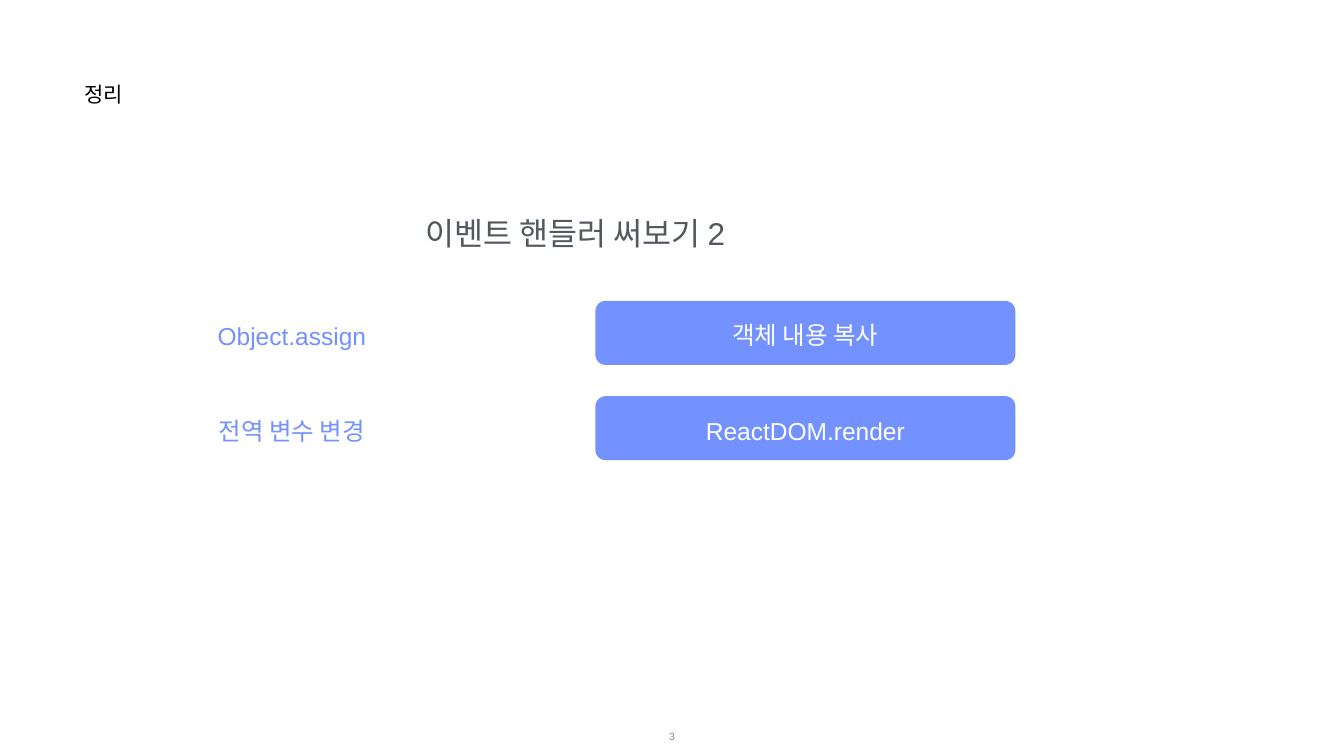
from dataclasses import dataclass

from pptx import Presentation
from pptx.dml.color import RGBColor
from pptx.enum.shapes import MSO_SHAPE as Shape
from pptx.enum.text import MSO_ANCHOR as Anchor, PP_ALIGN as Align
from pptx.util import Inches, Pt

BLACK = RGBColor(0x00, 0x00, 0x00)
WHITE = RGBColor(0xFF, 0xFF, 0xFF)
BLUE = RGBColor(0x73, 0x91, 0xFF)
SLATE = RGBColor(0x53, 0x58, 0x5F)
GRAY = RGBColor(0x88, 0x88, 0x88)

WIDE, HIGH = 26.66, 15
FONT = "Arial"
TOP, STEP = 39.8, 12.6
PAD, DROP = 0.01, 0.1


@dataclass(frozen=True)
class Box:
    """Hold a place in percent of the slide's width and height."""

    left: float
    top: float
    width: float
    height: float

    def place(self) -> tuple:
        return (
            Inches(WIDE * self.left / 100),
            Inches(HIGH * self.top / 100),
            Inches(WIDE * self.width / 100),
            Inches(HIGH * self.height / 100),
        )


@dataclass(frozen=True)
class Style:
    """Describe how a line of text looks."""

    size: int
    color: RGBColor
    align: Align = Align.CENTER
    anchor: Anchor = Anchor.MIDDLE


@dataclass(frozen=True)
class Pair:
    """Match a term with its meaning."""

    term: str
    sense: str


PAIRS = [
    Pair("Object.assign", "객체 내용 복사"),
    Pair("전역 변수 변경", "ReactDOM.render"),
]


def write(shape, text: str, style: Style, drop: float = PAD) -> None:
    """Put styled text in a shape."""
    frame = shape.text_frame
    frame.text = text
    frame.word_wrap = True
    frame.vertical_anchor = style.anchor
    frame.margin_left = frame.margin_right = frame.margin_bottom = Inches(PAD)
    frame.margin_top = Inches(drop)
    line = frame.paragraphs[0]
    line.alignment = style.align
    font = line.runs[0].font
    font.name, font.size = FONT, Pt(style.size)
    font.color.rgb = style.color


def label(slide, box: Box, text: str, style: Style) -> None:
    """Add a text box."""
    write(slide.shapes.add_textbox(*box.place()), text, style)


def pill(slide, box: Box, text: str, style: Style) -> None:
    """Add a filled rounded box with text."""
    shape = slide.shapes.add_shape(Shape.ROUNDED_RECTANGLE, *box.place())
    shape.adjustments[0] = 0.16
    shape.shadow.inherit = False
    shape.fill.solid()
    shape.fill.fore_color.rgb = BLUE
    shape.line.fill.background()
    write(shape, text, style, DROP)


def main() -> None:
    """Build the summary slide."""
    deck = Presentation()
    deck.slide_width, deck.slide_height = Inches(WIDE), Inches(HIGH)
    slide = deck.slides.add_slide(deck.slide_layouts[6])

    label(slide, Box(6.26, 10.67, 18.23, 7.87), "정리",
          Style(30, BLACK, Align.LEFT, Anchor.TOP))
    label(slide, Box(9.9, 28.27, 65.8, 5.27), "이벤트 핸들러 써보기 2",
          Style(45, SLATE, anchor=Anchor.TOP))
    for row, pair in enumerate(PAIRS):
        top = TOP + row * STEP
        label(slide, Box(10, top + 2.5, 23.44, 4.13), pair.term, Style(35, BLUE))
        pill(slide, Box(44.3, top, 31.25, 8.47), pair.sense, Style(35, WHITE))
    label(slide, Box(38.75, 94.73, 22.5, 5.27), "3", Style(15, GRAY))

    deck.save("out.pptx")


if __name__ == "__main__":
    main()
